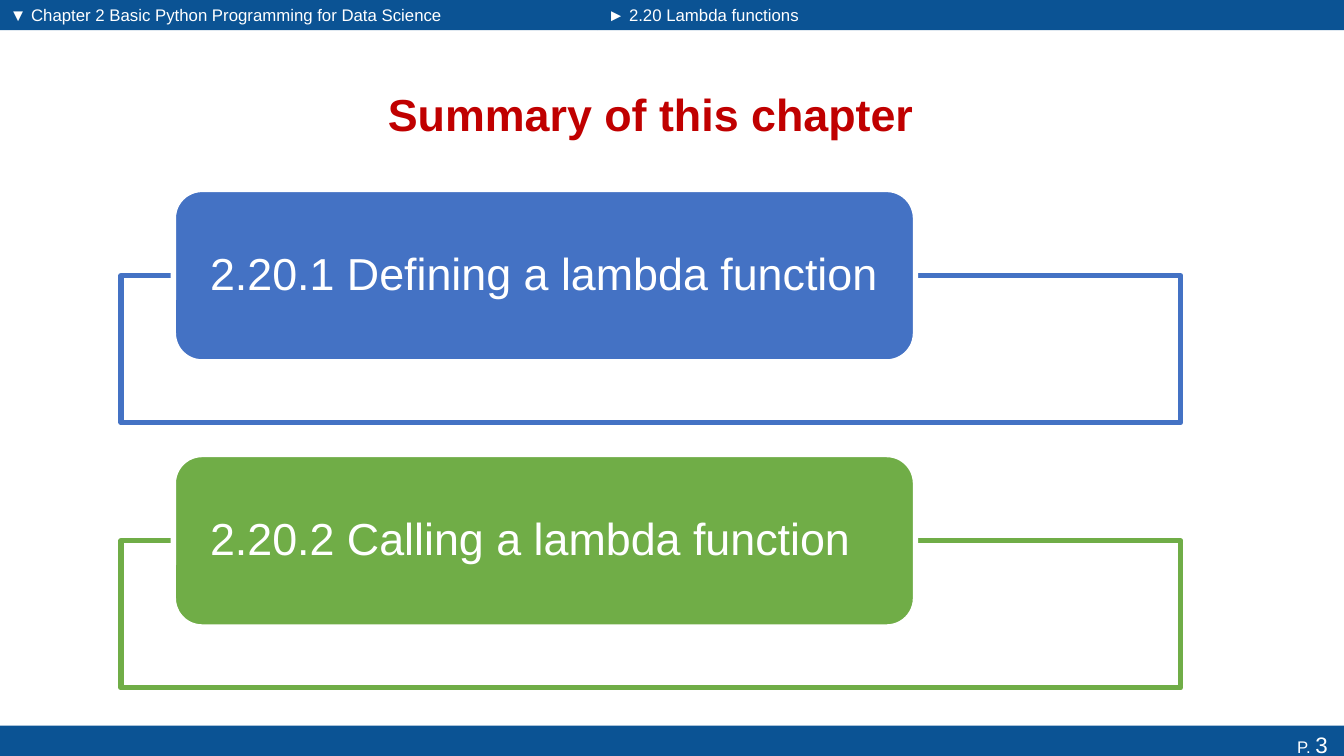
from dataclasses import dataclass

from lxml import etree
from pptx import Presentation
from pptx import util as u
from pptx.dml.color import RGBColor
from pptx.enum import shapes, text
from pptx.oxml.ns import qn

TITLE = "Summary of this chapter"
CHAPTER = "▼ Chapter 2 Basic Python Programming for Data Science"
SECTION = "► 2.20 Lambda functions"
PAGE = [("P. ", 12), ("3", 16)]
TOPICS = [
    ("2.20.1 Defining a lambda function", "4472C4"),
    ("2.20.2 Calling a lambda function", "70AD47"),
]


@dataclass(frozen=True)
class Theme:
    font: str = "Arial"
    white: str = "FFFFFF"
    bar: str = "0B5394"
    title: str = "C00000"
    small: int = 12
    large: int = 32
    outline: float = 3.78
    panel_alpha: int = 90


theme = Theme()
WIDTH, HEIGHT = 13.33, 7.5
HEADER_HEIGHT, HEADER_SPLIT = 0.3, 5.93
FOOTER_TOP, FOOTER_HEIGHT = 7.2, 0.37
FIRST_TOP, TOPIC_PITCH = 1.88, 2.63
PANEL_LEFT, PANEL_WIDTH, PANEL_HEIGHT = 1.2, 10.51, 1.46
LABEL_LEFT, LABEL_WIDTH, LABEL_HEIGHT = 1.72, 7.36, 1.71

deck = Presentation()
deck.slide_width, deck.slide_height = u.Inches(WIDTH), u.Inches(HEIGHT)
slide = deck.slides.add_slide(deck.slide_layouts[6])


def color(code):
    return RGBColor.from_string(code)


def block(kind, box, fill, line=None):
    shape = slide.shapes.add_shape(kind, *map(u.Inches, box))
    shape.shadow.inherit = False
    shape.fill.solid()
    shape.fill.fore_color.rgb = color(fill)
    if line:
        shape.line.color.rgb = color(line)
        shape.line.width = u.Pt(theme.outline)
    else:
        shape.line.fill.background()
    return shape


def write(shape, runs, ink=theme.white, align=text.PP_ALIGN.LEFT,
          anchor=text.MSO_ANCHOR.TOP, bold=False):
    frame = shape.text_frame
    frame.word_wrap = True
    frame.vertical_anchor = anchor
    line = frame.paragraphs[0]
    line.alignment = align
    for words, size in runs:
        run = line.add_run()
        run.text = words
        run.font.name, run.font.size, run.font.bold = theme.font, u.Pt(size), bold
        run.font.color.rgb = color(ink)
    return frame


def label(box, *args, **style):
    return write(slide.shapes.add_textbox(*map(u.Inches, box)), *args, **style)


RECT = shapes.MSO_SHAPE.RECTANGLE
headings = [
    (CHAPTER, 0, HEADER_SPLIT),
    (SECTION, HEADER_SPLIT, WIDTH - HEADER_SPLIT),
]
for heading, left, width in headings:
    box = (left, 0, width, HEADER_HEIGHT)
    block(RECT, box, theme.bar)
    label(box, [(heading, theme.small)])

footer = block(RECT, (0, FOOTER_TOP, WIDTH, FOOTER_HEIGHT), theme.bar)
write(footer, PAGE, align=text.PP_ALIGN.RIGHT).margin_right = u.Inches(0.16)

label((2.51, 0.68, 7.89, 0.9), [(TITLE, theme.large)], ink=theme.title,
      align=text.PP_ALIGN.CENTER, anchor=text.MSO_ANCHOR.MIDDLE, bold=True)

for row, (topic, accent) in enumerate(TOPICS):
    top = FIRST_TOP + row * TOPIC_PITCH
    panel = block(RECT, (PANEL_LEFT, top + LABEL_HEIGHT / 2, PANEL_WIDTH, PANEL_HEIGHT),
                  theme.white, accent)
    tint = panel.fill._xPr.find(qn("a:solidFill"))[0]
    etree.SubElement(tint, qn("a:alpha"), val=str(theme.panel_alpha * 1000))
    card = block(shapes.MSO_SHAPE.ROUNDED_RECTANGLE,
                 (LABEL_LEFT, top, LABEL_WIDTH, LABEL_HEIGHT), accent, theme.white)
    frame = write(card, [(topic, theme.large)], anchor=text.MSO_ANCHOR.MIDDLE)
    frame.margin_left, frame.margin_right = u.Inches(0.28), u.Inches(0.1)
    frame.margin_top = frame.margin_bottom = 0
    frame.paragraphs[0].line_spacing = 0.9

deck.save("out.pptx")
